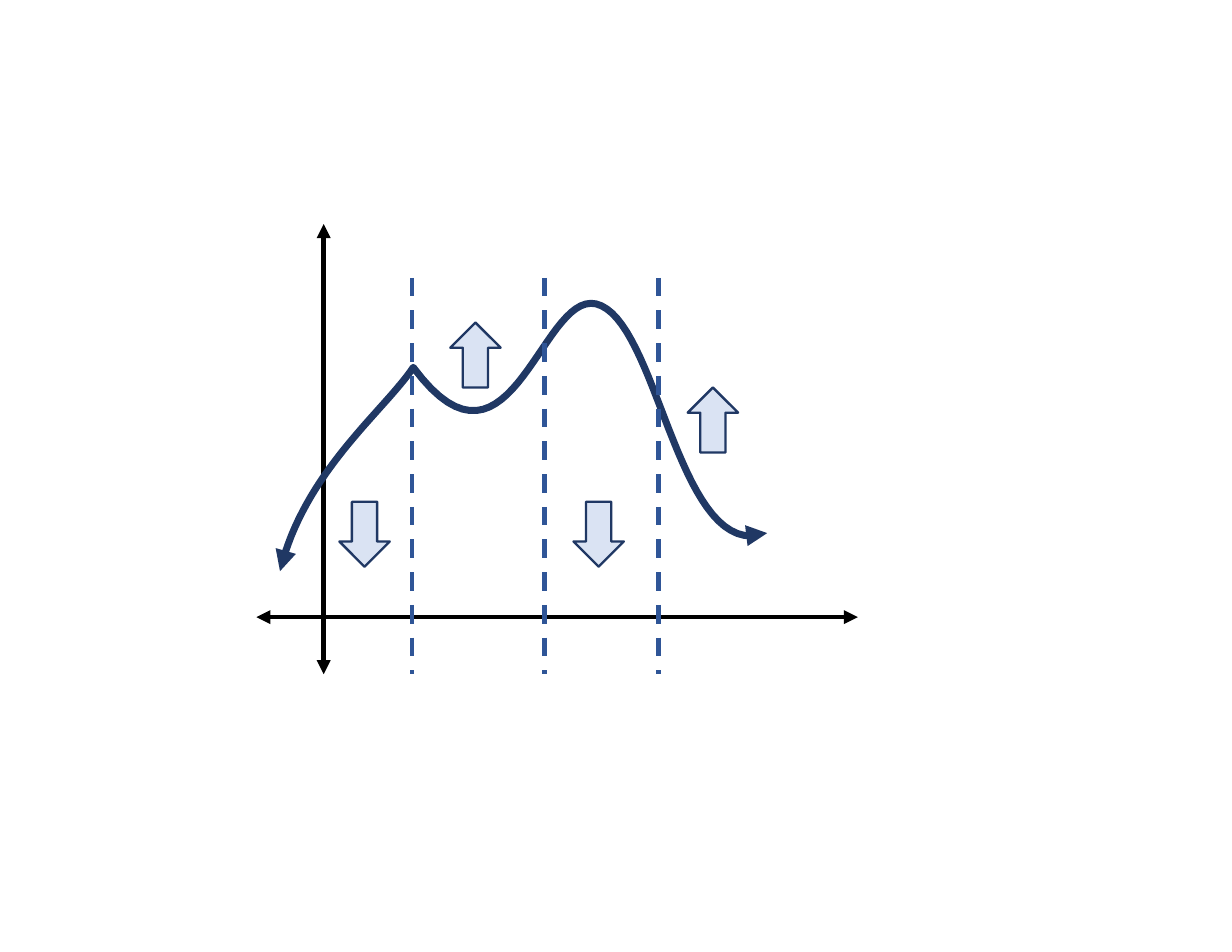
from typing import NamedTuple

import pptx
import pptx.dml.color
import pptx.enum.dml
import pptx.enum.shapes
import pptx.oxml
import pptx.oxml.ns
import pptx.util

Inches = pptx.util.Inches
SHAPE = pptx.enum.shapes.MSO_SHAPE
NAVY, BLUE, PALE, BLACK = "203864", "2F5597", "DAE3F3", "000000"
BASE = 6.02  # lower end of the vertical lines
STEPS = 32  # points on each curve segment

Point = tuple[float, float]


class Line(NamedTuple):
    start: Point
    end: Point
    color: str = BLACK
    dash: bool = False


class Arrow(NamedTuple):
    left: float
    top: float
    kind: SHAPE


def rgb(code: str) -> pptx.dml.color.RGBColor:
    return pptx.dml.color.RGBColor.from_string(code)


def stroke(shape, color: str, width: float) -> None:
    shape.line.color.rgb = rgb(color)
    shape.line.width = pptx.util.Pt(width)


def add_heads(shape) -> None:
    """Put a triangle on both ends of a line."""
    ln = shape._element.spPr.find(pptx.oxml.ns.qn("a:ln"))
    for end in ("headEnd", "tailEnd"):
        ln.append(pptx.oxml.parse_xml(
            f'<a:{end} {pptx.oxml.ns.nsdecls("a")} type="triangle"/>'))


def draw_line(slide, item: Line) -> None:
    line = slide.shapes.add_connector(
        pptx.enum.shapes.MSO_CONNECTOR.STRAIGHT,
        *(Inches(n) for n in item.start + item.end))
    stroke(line, item.color, 3)
    if item.dash:
        line.line.dash_style = pptx.enum.dml.MSO_LINE.DASH
    else:
        add_heads(line)
    line._element.spPr.append(pptx.oxml.parse_xml(
        f'<a:effectLst {pptx.oxml.ns.nsdecls("a")}/>'))


def draw_arrow(slide, item: Arrow) -> None:
    arrow = slide.shapes.add_shape(
        item.kind, Inches(item.left), Inches(item.top),
        Inches(0.45), Inches(0.58))
    arrow.shadow.inherit = False
    arrow.fill.solid()
    arrow.fill.fore_color.rgb = rgb(PALE)
    stroke(arrow, NAVY, 1.5)


def bezier(knots: list[Point], t: float) -> Point:
    """Point at t on the cubic curve with four knots."""
    u = 1 - t
    parts = (u**3, 3 * u * u * t, 3 * u * t * t, t**3)
    x, y = (sum(p * k[i] for p, k in zip(parts, knots)) for i in (0, 1))
    return Inches(x), Inches(y)


def draw_curve(slide, knots: list[Point]) -> None:
    points = [bezier(knots[i:i + 4], n / STEPS)
              for i in range(0, len(knots) - 1, 3)
              for n in range(1, STEPS + 1)]
    form = slide.shapes.build_freeform(*bezier(knots[:4], 0))
    form.add_line_segments(points, close=False)
    curve = form.convert_to_shape()
    curve.shadow.inherit = False
    curve.fill.background()
    stroke(curve, NAVY, 4.5)
    add_heads(curve)


AXES = [Line((2.29, 5.51), (7.66, 5.51)), Line((2.89, 2), (2.89, BASE))]
CURVE = [(6.85, 4.76),
         (6.07, 5.04), (5.9, 2.98), (5.37, 2.73),
         (4.85, 2.48), (4.58, 4.48), (3.69, 3.28),
         (3.43, 3.67), (2.71, 4.22), (2.5, 5.1)]
BOUNDS = [Line((x, 2.48), (x, BASE), BLUE, True) for x in (3.68, 4.86, 5.88)]
ARROWS = [Arrow(4.02, 2.88, SHAPE.UP_ARROW),
          Arrow(6.14, 3.46, SHAPE.UP_ARROW),
          Arrow(3.03, 4.48, SHAPE.DOWN_ARROW),
          Arrow(5.12, 4.48, SHAPE.DOWN_ARROW)]


def main() -> None:
    deck = pptx.Presentation()
    deck.slide_width, deck.slide_height = Inches(11), Inches(8.5)
    slide = deck.slides.add_slide(deck.slide_layouts[6])

    # Axes and graph
    for axis in AXES:
        draw_line(slide, axis)
    draw_curve(slide, CURVE)

    # Dashed bounds between the intervals
    for bound in BOUNDS:
        draw_line(slide, bound)

    # Concavity arrows
    for arrow in ARROWS:
        draw_arrow(slide, arrow)

    deck.save("out.pptx")


if __name__ == "__main__":
    main()
